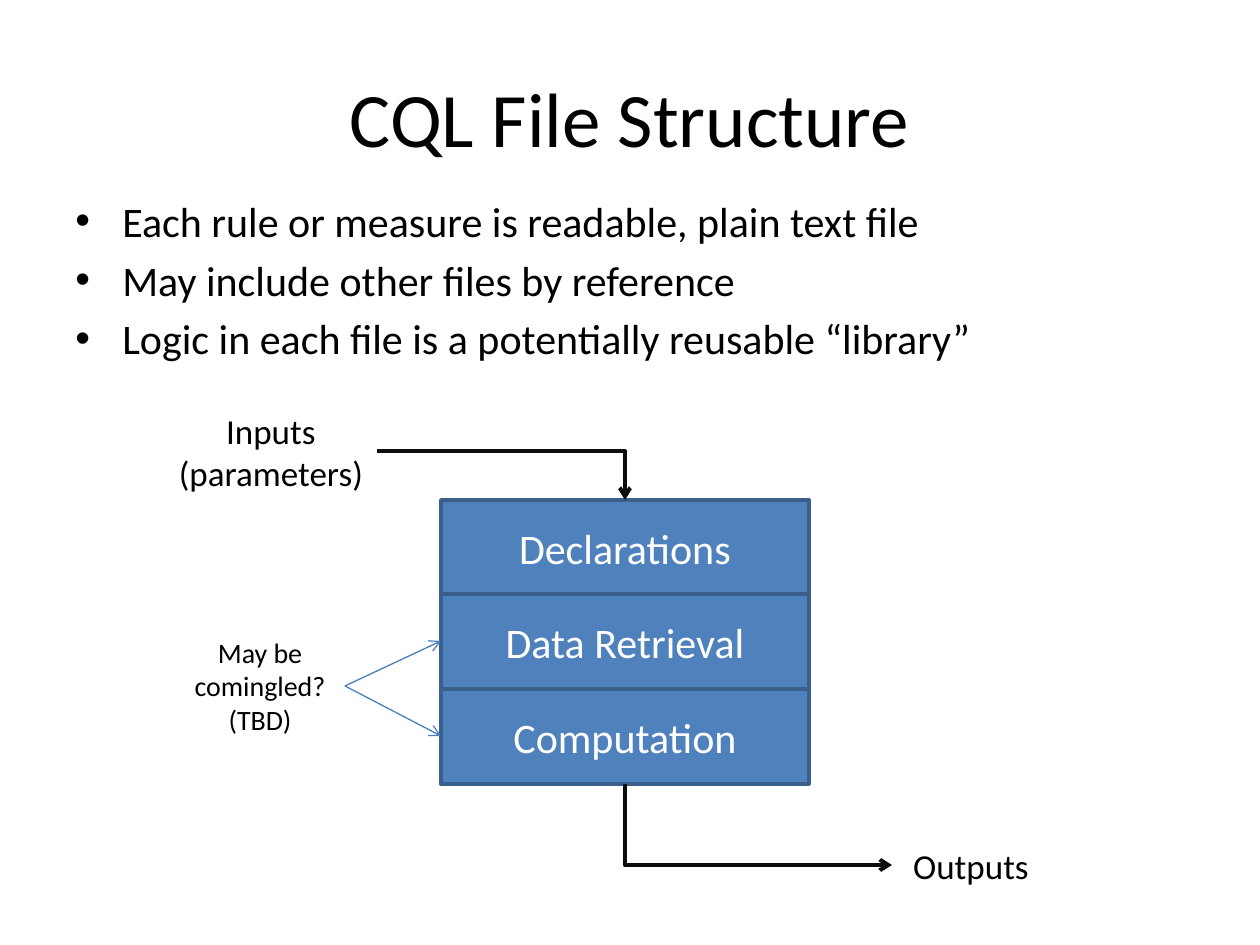
from dataclasses import dataclass

from lxml.etree import SubElement
from pptx import Presentation
from pptx.dml.color import RGBColor
from pptx.enum.shapes import MSO_CONNECTOR, MSO_SHAPE
from pptx.enum.text import MSO_ANCHOR, MSO_AUTO_SIZE, PP_ALIGN
from pptx.oxml.ns import qn
from pptx.util import Emu, Pt

SLIDE_WIDTH, SLIDE_HEIGHT = 1260, 945
SCALE = 914400 / 126
FONT = "Calibri"
COLORS = {
    "text": "000000",
    "box_text": "FFFFFF",
    "box": "4F81BD",
    "box_edge": "3A5F8C",
    "flow": "0D0D0D",
    "hint": "4B7EBC",
}


@dataclass(frozen=True)
class TextBlock:
    left: int
    top: int
    width: int
    height: int
    lines: tuple[str, ...]
    size: int
    anchor: MSO_ANCHOR = MSO_ANCHOR.TOP
    bulleted: bool = False
    wrap: bool = True
    grow: bool = False


@dataclass(frozen=True)
class Arrow:
    start: tuple[int, int]
    end: tuple[int, int]
    color: str
    weight: float
    bent: bool = False
    down_first: bool = False


def px(value: float) -> Emu:
    return Emu(round(value * SCALE))


def rgb(name: str) -> RGBColor:
    return RGBColor.from_string(COLORS[name])


def write_lines(frame, lines: tuple[str, ...], size: int, color: str, bulleted: bool = False) -> None:
    for index, line in enumerate(lines):
        paragraph = frame.paragraphs[0] if index == 0 else frame.add_paragraph()
        paragraph.alignment = PP_ALIGN.LEFT if bulleted else PP_ALIGN.CENTER
        if bulleted:
            paragraph.space_before = Pt(size * 0.2)
            properties = paragraph._p.get_or_add_pPr()
            properties.set("marL", str(px(47)))
            properties.set("indent", str(px(-47)))
            SubElement(properties, qn("a:buFont"), typeface="Arial")
            SubElement(properties, qn("a:buChar"), char="•")
        run = paragraph.add_run()
        run.text = line
        run.font.name = FONT
        run.font.size = Pt(size)
        run.font.color.rgb = rgb(color)


def draw_text(slide, block: TextBlock) -> None:
    frame = slide.shapes.add_textbox(
        px(block.left), px(block.top), px(block.width), px(block.height)
    ).text_frame
    frame.word_wrap = block.wrap
    frame.auto_size = MSO_AUTO_SIZE.SHAPE_TO_FIT_TEXT if block.grow else MSO_AUTO_SIZE.NONE
    frame.vertical_anchor = block.anchor
    write_lines(frame, block.lines, block.size, "text", block.bulleted)


def draw_section(slide, label: str, top: int) -> None:
    section = slide.shapes.add_shape(
        MSO_SHAPE.RECTANGLE, px(STACK_LEFT), px(top), px(STACK_WIDTH), px(SECTION_HEIGHT)
    )
    section.shadow.inherit = False
    section.fill.solid()
    section.fill.fore_color.rgb = rgb("box")
    section.line.color.rgb = rgb("box_edge")
    section.line.width = Pt(2)
    section.text_frame.word_wrap = True
    section.text_frame.vertical_anchor = MSO_ANCHOR.MIDDLE
    write_lines(section.text_frame, (label,), 24, "box_text")


def draw_arrow(slide, arrow: Arrow) -> None:
    (x1, y1), (x2, y2) = arrow.start, arrow.end
    if arrow.down_first:
        center_x, center_y = (x1 + x2) / 2, (y1 + y2) / 2
        half_width, half_height = (x2 - x1) / 2, (y2 - y1) / 2
        x1, x2 = center_x + half_height, center_x - half_height
        y1, y2 = center_y - half_width, center_y + half_width
    route = MSO_CONNECTOR.ELBOW if arrow.bent else MSO_CONNECTOR.STRAIGHT
    connector = slide.shapes.add_connector(route, px(x1), px(y1), px(x2), px(y2))
    connector.line.color.rgb = rgb(arrow.color)
    connector.line.width = Pt(arrow.weight)
    properties = connector._element.spPr
    if arrow.bent:
        properties.find(qn("a:prstGeom")).set("prst", "bentConnector2")
    if arrow.down_first:
        properties.find(qn("a:xfrm")).set("rot", str(270 * 60000))
    SubElement(properties.find(qn("a:ln")), qn("a:tailEnd"), type="arrow")
    SubElement(properties, qn("a:effectLst"))


STACK_LEFT, STACK_TOP, STACK_WIDTH, STACK_HEIGHT = 441, 500, 368, 284
SECTIONS = ("Declarations", "Data Retrieval", "Computation")
SECTION_HEIGHT = round(STACK_HEIGHT / len(SECTIONS))
SECTION_TOPS = [STACK_TOP + STACK_HEIGHT * i // len(SECTIONS) for i in range(len(SECTIONS))]
STACK_CENTER = STACK_LEFT + STACK_WIDTH // 2
HINT_START = (345, 686)

TITLE_AND_BULLETS = (
    TextBlock(63, 38, 1134, 158, ("CQL File Structure",), 44, anchor=MSO_ANCHOR.MIDDLE),
    TextBlock(
        63, 189, 1134, 624,
        (
            "Each rule or measure is readable, plain text file",
            "May include other files by reference",
            "Logic in each file is a potentially reusable “library”",
        ),
        24, bulleted=True,
    ),
)
LABELS = (
    TextBlock(165, 403, 212, 97, ("Inputs", "(parameters)"), 20, wrap=False, grow=True),
    TextBlock(892, 838, 158, 55, ("Outputs",), 20, grow=True),
    TextBlock(175, 629, 170, 115, ("May be comingled?", "(TBD)"), 16, grow=True),
)
FLOWS = (
    Arrow((377, 451), (STACK_CENTER, STACK_TOP), "flow", 2.25, bent=True),
    Arrow((STACK_CENTER, STACK_TOP + STACK_HEIGHT), (892, 865), "flow", 2.25,
          bent=True, down_first=True),
)
HINTS = tuple(
    Arrow(HINT_START, (STACK_LEFT, top + SECTION_HEIGHT // 2), "hint", 0.75)
    for top in SECTION_TOPS[1:]
)

presentation = Presentation()
presentation.slide_width = px(SLIDE_WIDTH)
presentation.slide_height = px(SLIDE_HEIGHT)
slide = presentation.slides.add_slide(presentation.slide_layouts[6])

for block in TITLE_AND_BULLETS:
    draw_text(slide, block)
for label, top in zip(SECTIONS, SECTION_TOPS):
    draw_section(slide, label, top)
for flow in FLOWS:
    draw_arrow(slide, flow)
for block in LABELS:
    draw_text(slide, block)
for hint in HINTS:
    draw_arrow(slide, hint)

presentation.save("out.pptx")
